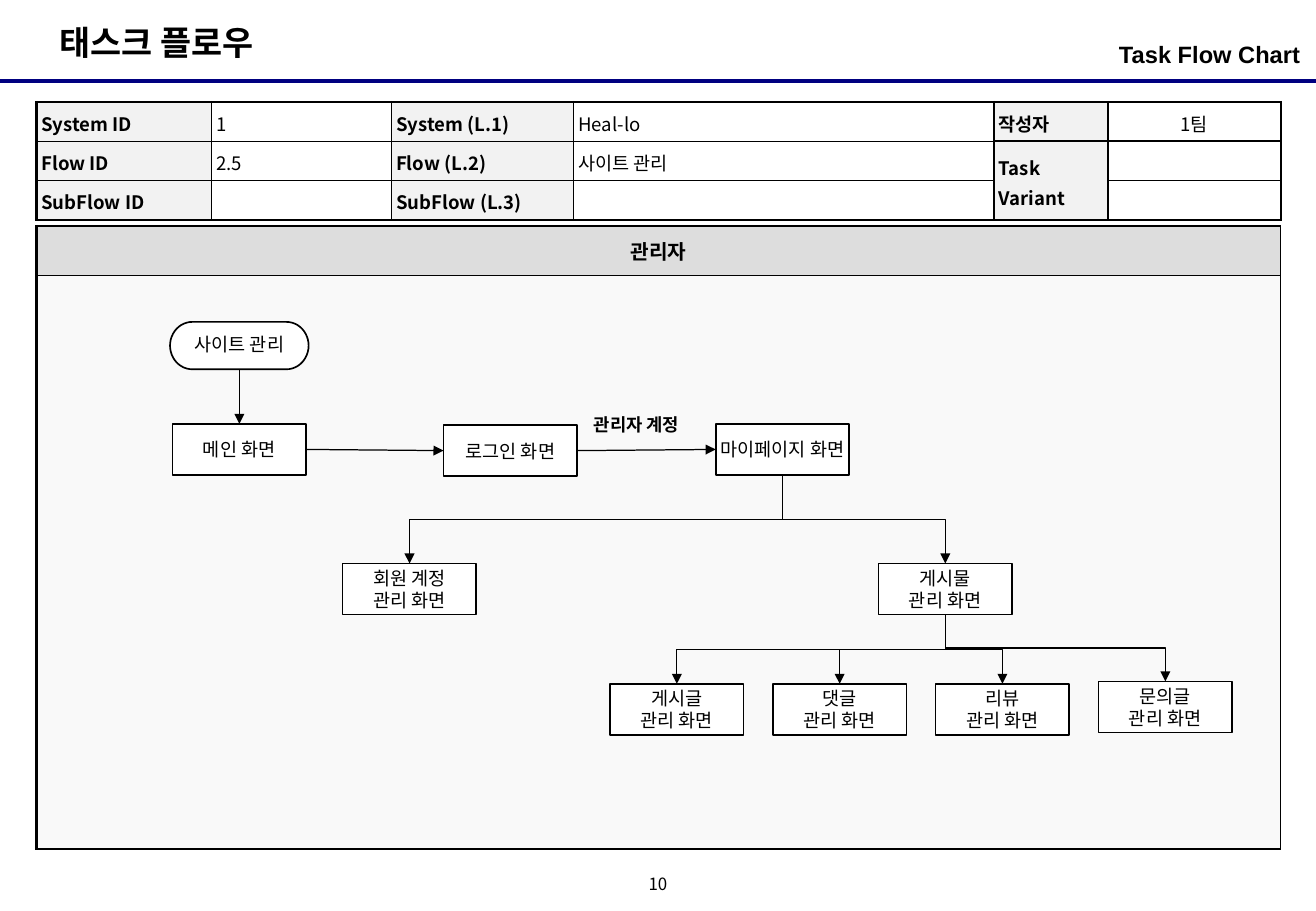
from dataclasses import dataclass
from typing import Optional

import lxml.etree
import pptx
import pptx.dml.color
import pptx.enum.shapes
import pptx.enum.text
import pptx.oxml.ns
import pptx.util

ALIGN = pptx.enum.text.PP_ALIGN
ANCHOR = pptx.enum.text.MSO_ANCHOR
SHAPE = pptx.enum.shapes.MSO_SHAPE
CONNECTOR = pptx.enum.shapes.MSO_CONNECTOR
GRID_COLUMNS, GRID_ROWS = 1083, 750
CELL = pptx.util.Inches(0.01)
TOP, LEFT, BOTTOM, RIGHT = range(4)


@dataclass(frozen=True)
class Theme:
    ink: str = "000000"
    paper: str = "FFFFFF"
    rule: str = "000080"
    label: str = "F2F2F2"
    heading: str = "DDDDDD"
    canvas: str = "F9F9F9"
    korean: str = "Noto Sans CJK KR"
    latin: str = "Arial"
    title: float = 20
    subtitle: float = 14
    actor: float = 12
    body: float = 11
    note: float = 10.5
    page: float = 10


THEME = Theme()


@dataclass(frozen=True)
class Area:
    left: int
    top: int
    width: int
    height: int

    def emu(self) -> tuple[int, int, int, int]:
        return self.left * CELL, self.top * CELL, self.width * CELL, self.height * CELL


@dataclass(frozen=True)
class Style:
    size: float
    bold: bool = False
    font: str = THEME.korean
    align: ALIGN = ALIGN.LEFT
    anchor: ANCHOR = ANCHOR.TOP
    margins: tuple[int, int] = (10, 5)
    spacing: float = 1.0
    before: float = 0
    after: float = 0
    wrap: bool = True


@dataclass(frozen=True)
class Label:
    text: str
    area: Area
    style: Style


@dataclass(frozen=True)
class Field:
    text: str
    style: Style
    fill: str = THEME.paper
    below: Optional[float] = None
    rows: int = 1


@dataclass(frozen=True)
class Borders:
    outer: float
    right: float
    inner: float


@dataclass(frozen=True)
class Step:
    text: str
    area: Area
    outline: SHAPE = SHAPE.RECTANGLE
    spacing: float = 1.0


def colour(value: str) -> pptx.dml.color.RGBColor:
    return pptx.dml.color.RGBColor.from_string(value)


def add_xml(parent, tag: str, **attributes: str):
    return lxml.etree.SubElement(parent, pptx.oxml.ns.qn(tag), attributes)


def write(frame, text: str, style: Style) -> None:
    frame.text = text
    for paragraph in frame.paragraphs:
        paragraph.alignment = style.align
        paragraph.line_spacing = style.spacing
        paragraph.space_before = pptx.util.Pt(style.before)
        paragraph.space_after = pptx.util.Pt(style.after)
        for run in paragraph.runs:
            run.font.size = pptx.util.Pt(style.size)
            run.font.bold = style.bold
            run.font.color.rgb = colour(THEME.ink)
            run.font.name = style.font
            add_xml(run.font._element, "a:ea", typeface=THEME.korean)
        if not paragraph.runs:
            add_xml(paragraph._p, "a:endParaRPr", sz=str(int(style.size * 100)))


def set_margins(holder, style: Style) -> None:
    across, down = style.margins
    holder.margin_left = holder.margin_right = across * CELL
    holder.margin_top = holder.margin_bottom = down * CELL
    holder.vertical_anchor = style.anchor


def draw_label(slide, label: Label) -> None:
    frame = slide.shapes.add_textbox(*label.area.emu()).text_frame
    frame.word_wrap = label.style.wrap
    set_margins(frame, label.style)
    write(frame, label.text, label.style)


def draw_table(slide, area: Area, columns: list[int], rows: list[int],
               fields: list[list[Field]], borders: Borders) -> None:
    table = slide.shapes.add_table(len(rows), len(columns), *area.emu()).table
    table.first_row = table.horz_banding = False
    for column, width in zip(table.columns, columns):
        column.width = width * CELL
    for row, height in zip(table.rows, rows):
        row.height = height * CELL
    for r, line in enumerate(fields):
        for c, field in enumerate(line):
            cell = table.cell(r, c)
            write(cell.text_frame, field.text, field.style)
            set_margins(cell, field.style)
            above = borders.outer if r == 0 else fields[r - 1][c].below or borders.inner
            below = borders.outer if r == len(rows) - 1 else field.below or borders.inner
            weights = {
                "a:lnL": borders.outer if c == 0 else borders.inner,
                "a:lnR": borders.right if c == len(columns) - 1 else borders.inner,
                "a:lnT": above,
                "a:lnB": below,
            }
            properties = cell._tc.get_or_add_tcPr()
            for tag, weight in weights.items():
                edge = add_xml(properties, tag, w=str(pptx.util.Pt(weight)))
                add_xml(add_xml(edge, "a:solidFill"), "a:srgbClr", val=THEME.ink)
            cell.fill.solid()
            cell.fill.fore_color.rgb = colour(field.fill)
            if field.rows > 1:
                cell.merge(table.cell(r + field.rows - 1, c))


def draw_step(slide, step: Step):
    box = slide.shapes.add_shape(step.outline, *step.area.emu())
    box.shadow.inherit = False
    box.fill.solid()
    box.fill.fore_color.rgb = colour(THEME.paper)
    box.line.color.rgb = colour(THEME.ink)
    box.line.width = pptx.util.Pt(1)
    style = Style(THEME.body, font=THEME.latin, align=ALIGN.CENTER, anchor=ANCHOR.MIDDLE,
                  margins=(2, 0), spacing=step.spacing)
    box.text_frame.word_wrap = True
    set_margins(box.text_frame, style)
    write(box.text_frame, step.text, style)
    return box


def draw_line(slide, kind: CONNECTOR, ends: tuple[int, int, int, int], ink: str, weight: float):
    line = slide.shapes.add_connector(kind, *ends)
    line.line.color.rgb = colour(ink)
    line.line.width = pptx.util.Pt(weight)
    add_xml(line.element.spPr, "a:effectLst")
    return line


def draw_flow(slide, source, target, leave: int, enter: int, kind: CONNECTOR) -> None:
    flow = draw_line(slide, kind, (0, 0, 0, 0), THEME.ink, 0.75)
    add_xml(flow.get_or_add_ln(), "a:tailEnd", type="triangle")
    flow.begin_connect(source, leave)
    flow.end_connect(target, enter)
    if kind == CONNECTOR.ELBOW:
        across, down = flow.end_x - flow.begin_x, flow.end_y - flow.begin_y
        middle_x, middle_y = flow.begin_x + across // 2, flow.begin_y + down // 2
        flow.width, flow.height = down, abs(across)
        flow.left, flow.top = middle_x - down // 2, middle_y - abs(across) // 2
        turn = flow.element.spPr.find(pptx.oxml.ns.qn("a:xfrm"))
        turn.rot = 270 if across > 0 else 90
        turn.flipH, turn.flipV = across > 0, False


VALUE = Style(THEME.body, margins=(4, 4), spacing=1.1, before=1.1, after=1.1)
NAME = Style(THEME.body, bold=True, margins=(4, 4), spacing=1.1, before=1.1, after=1.1)
NAME_MIDDLE = Style(THEME.body, bold=True, anchor=ANCHOR.MIDDLE, margins=(4, 4), spacing=1.1)
TEAM = Style(THEME.body, align=ALIGN.CENTER, anchor=ANCHOR.MIDDLE, margins=(4, 4), spacing=1.1)
ACTOR = Style(THEME.actor, bold=True, align=ALIGN.CENTER, anchor=ANCHOR.MIDDLE)

LABELS = [
    Label("태스크 플로우", Area(39, 13, 198, 44), Style(THEME.title, bold=True, wrap=False)),
    Label("Task Flow Chart", Area(739, 28, 331, 39),
          Style(THEME.subtitle, bold=True, font=THEME.latin, align=ALIGN.RIGHT,
                margins=(0, 5), before=2.8)),
    Label("10", Area(525, 717, 33, 25),
          Style(THEME.page, align=ALIGN.CENTER, anchor=ANCHOR.MIDDLE, margins=(0, 0),
                spacing=0.8, wrap=False)),
    Label("관리자 계정", Area(479, 336, 110, 28), Style(THEME.note, bold=True)),
]

SUMMARY = [("System ID", "1", "System (L.1)", "Heal-lo"),
           ("Flow ID", "2.5", "Flow (L.2)", "사이트 관리"),
           ("SubFlow ID", "", "SubFlow (L.3)", "")]
AUTHORSHIP = [
    [Field("작성자", NAME_MIDDLE, THEME.label, 1.5), Field("1팀", TEAM, below=1.5)],
    [Field("Task Variant", NAME_MIDDLE, THEME.label, 1.5, rows=2), Field("", VALUE)],
    [Field("", VALUE), Field("", VALUE)],
]

SCREEN_WIDTH, SCREEN_HEIGHT = 110, 42
SCREENS = {"main": ("메인 화면", 142, 349), "login": ("로그인 화면", 365, 350),
           "my_page": ("마이페이지 화면", 589, 349),
           "members": ("회원 계정\n관리 화면", 282, 464), "posts": ("게시물\n관리 화면", 723, 464)}
POST_KINDS = {"article": ("게시글", 563), "comment": ("댓글", 563),
              "review": ("리뷰", 563), "inquiry": ("문의글", 561)}
BRANCHES = [("my_page", "members"), ("my_page", "posts")] + [("posts", kind) for kind in POST_KINDS]


def main() -> None:
    deck = pptx.Presentation()
    deck.slide_width, deck.slide_height = GRID_COLUMNS * CELL, GRID_ROWS * CELL
    slide = deck.slides.add_slide(deck.slide_layouts[6])
    draw_line(slide, CONNECTOR.STRAIGHT, (0, 67 * CELL, GRID_COLUMNS * CELL, 67 * CELL),
              THEME.rule, 2.25)

    draw_table(slide, Area(30, 186, 1024, 513), [1024], [41, 472],
               [[Field("관리자", ACTOR, THEME.heading)], [Field("", ACTOR, THEME.canvas)]],
               Borders(outer=1.5, right=0.75, inner=0.75))
    fields = [[Field(text, VALUE if c % 2 else NAME, THEME.paper if c % 2 else THEME.label)
               for c, text in enumerate(line)] + authorship
              for line, authorship in zip(SUMMARY, AUTHORSHIP)]
    draw_table(slide, Area(30, 84, 1024, 93), [144, 148, 150, 346, 94, 142], [31] * 3, fields,
               Borders(outer=1.5, right=1.5, inner=1))

    steps = {"start": Step("사이트 관리", Area(140, 265, 114, 39), SHAPE.FLOWCHART_TERMINATOR, 0.9)}
    for key, (text, left, top) in SCREENS.items():
        steps[key] = Step(text, Area(left, top, SCREEN_WIDTH, SCREEN_HEIGHT))
    for i, (key, (text, top)) in enumerate(POST_KINDS.items()):
        steps[key] = Step(f"{text}\n관리 화면", Area(502 + 134 * i, top, SCREEN_WIDTH, SCREEN_HEIGHT))
    boxes = {key: draw_step(slide, step) for key, step in steps.items()}

    draw_flow(slide, boxes["start"], boxes["main"], BOTTOM, TOP, CONNECTOR.STRAIGHT)
    for source, target in [("main", "login"), ("login", "my_page")]:
        draw_flow(slide, boxes[source], boxes[target], RIGHT, LEFT, CONNECTOR.STRAIGHT)
    for source, target in BRANCHES:
        draw_flow(slide, boxes[source], boxes[target], BOTTOM, TOP, CONNECTOR.ELBOW)
    for label in LABELS:
        draw_label(slide, label)
    deck.save("out.pptx")


if __name__ == "__main__":
    main()
